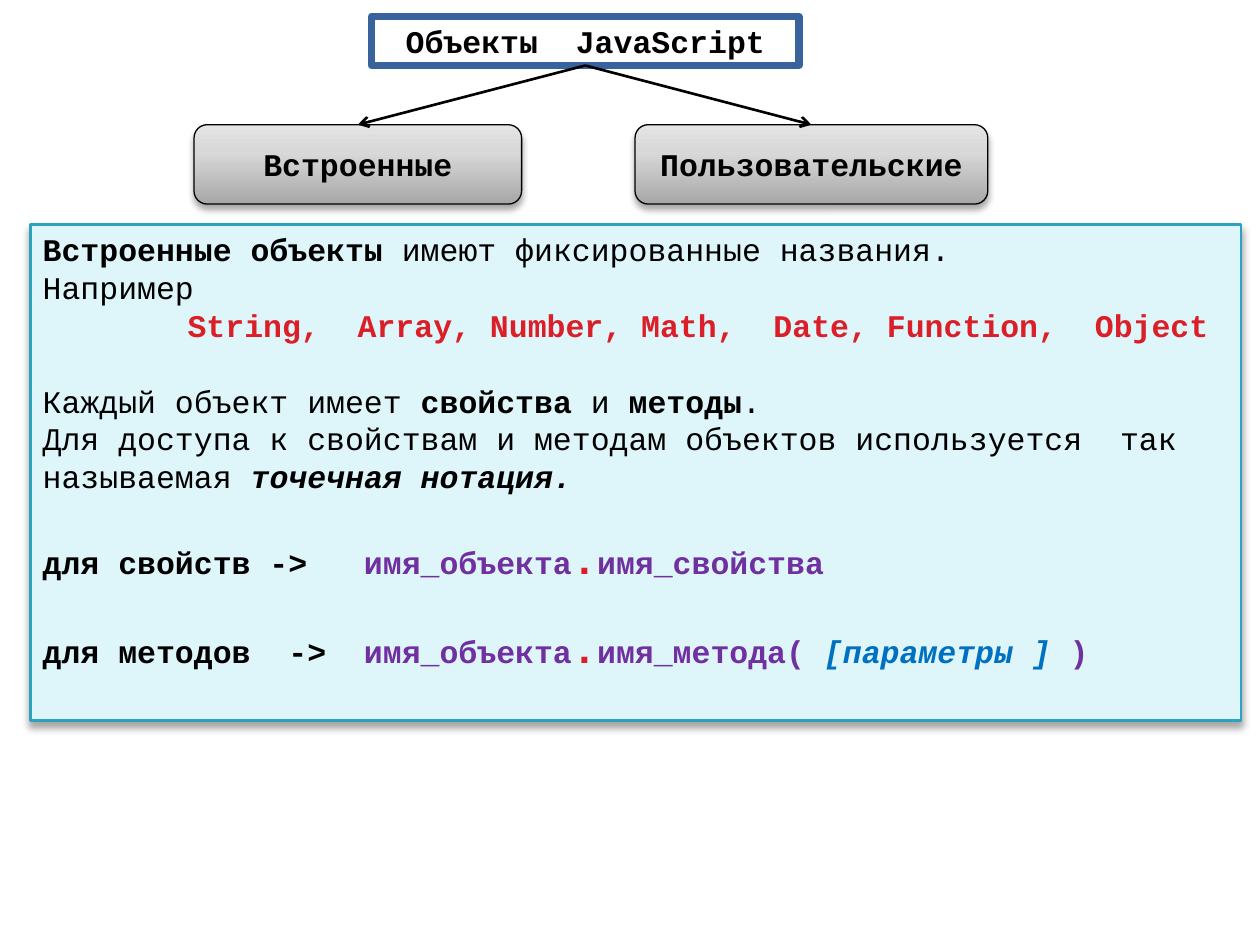
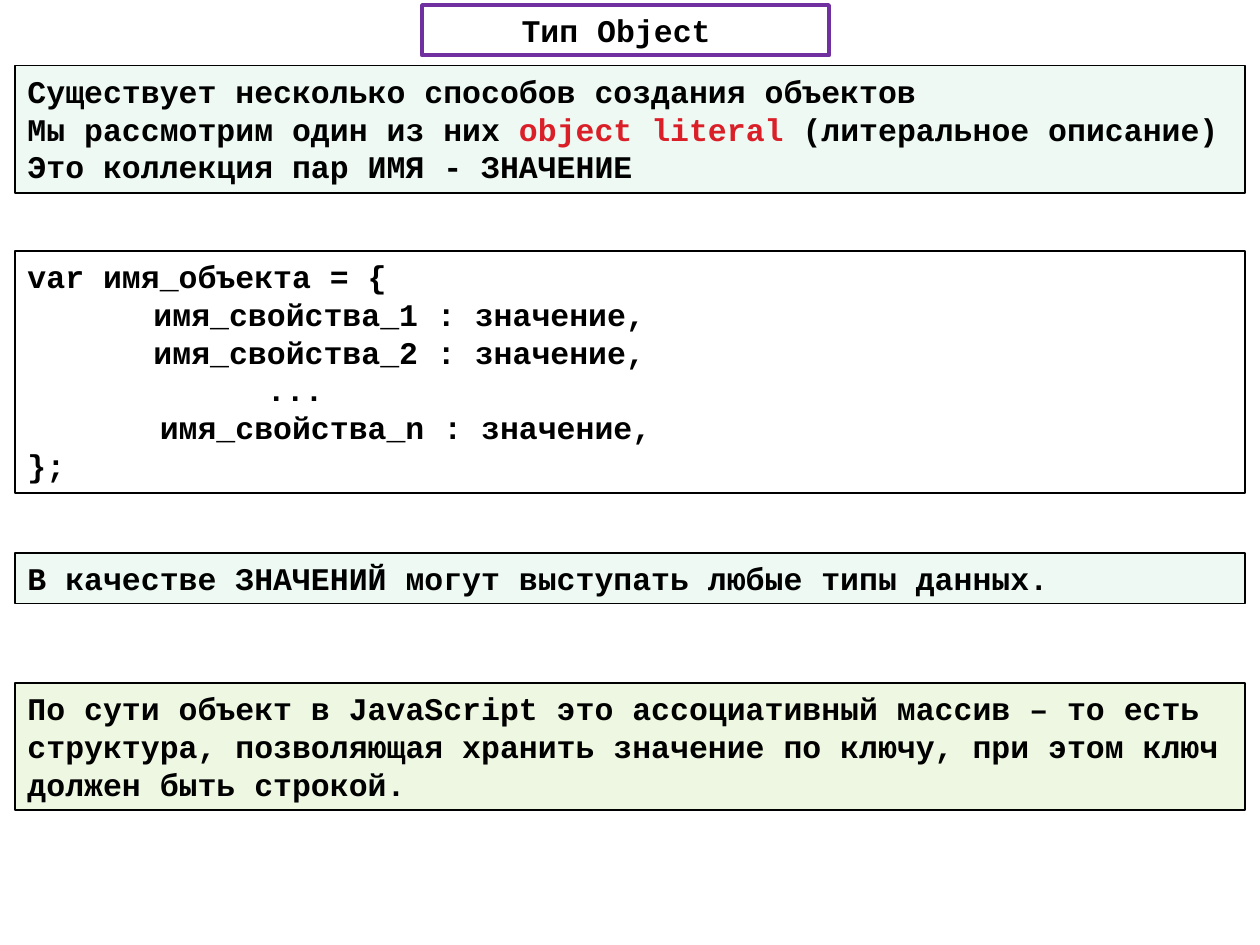
import dataclasses

import lxml.etree
import pptx
import pptx.dml.color
import pptx.enum.shapes
import pptx.enum.text
import pptx.oxml.ns
import pptx.util


@dataclasses.dataclass(frozen=True)
class Theme:
    font: str = "Courier New"
    body: int = 18
    large: int = 24
    blank_line: float = 21.6
    black: str = "000000"
    white: str = "FFFFFF"
    red: str = "DA1F28"
    purple: str = "7030A0"
    blue: str = "0070C0"
    frame: str = "39639D"
    teal: str = "2DA2BF"
    pale_teal: str = "DEF5FA"
    green: str = "00B050"
    lime: str = "92D050"
    metal: tuple = ((0, "A7A7A7"), (65, "D8D8D8"), (100, "E4E4E4"))


THEME = Theme()
COLUMNS, ROWS = 100, 75
UNIT = pptx.util.Inches(0.1)

PLAIN = {"bold": False}
BOLD = {}
RED = {"color": THEME.red}
PURPLE = {"color": THEME.purple}
DOT = {"color": THEME.red, "size": THEME.large}
BOLD_ITALIC = {"italic": True}
PARAMETERS = {"color": THEME.blue, "italic": True}


def line(*spans, **layout):
    return {"spans": spans, **layout}


NOTATION = {"before": THEME.blank_line, "tab": 25.5}
OBJECTS_TITLE = [line(("Объекты  JavaScript", BOLD), centered=True)]
KINDS = [
    ("Встроенные", (15.4, 9.9, 26, 6.3)),
    ("Пользовательские", (50.4, 9.9, 28, 6.3)),
]
BUILT_IN = [
    line(("Встроенные объекты ", BOLD), ("имеют фиксированные названия.", PLAIN)),
    line(("Например", PLAIN)),
    line(("String,  Array, Number, Math,  Date, Function,  Object", RED), indent=11.5),
    line(("Каждый объект имеет ", PLAIN), ("свойства ", BOLD), ("и", PLAIN),
         (" методы", BOLD), (".", PLAIN), before=THEME.blank_line),
    line(("Для доступа к свойствам и методам объектов используется  так называемая ", PLAIN),
         ("точечная нотация.", BOLD_ITALIC)),
    line(("для свойств ->\t", BOLD), ("имя_объекта", PURPLE), (".", DOT),
         ("имя_свойства", PURPLE), **NOTATION),
    line(("для методов  ->\t", BOLD), ("имя_объекта", PURPLE), (".", DOT),
         ("имя_метода( ", PURPLE), ("[параметры ] ", PARAMETERS), (")", PURPLE), **NOTATION),
]

TYPE_TITLE = [line(("Тип Object ", BOLD), centered=True)]
PANEL_LEFT, PANEL_WIDTH = 1.2, 97.6
PANELS = [
    (5.2, 10.1, THEME.green, 7, [
        line(("Существует несколько способов создания объектов", BOLD)),
        line(("Мы рассмотрим один из них ", BOLD), ("object literal ", RED),
             ("(литеральное описание)", BOLD)),
        line(("Это коллекция пар ИМЯ - ЗНАЧЕНИЕ", BOLD)),
    ]),
    (19.9, 19.2, THEME.white, 7, [
        line(("var имя_объекта = {", BOLD)),
        line(("имя_свойства_1 : значение,", BOLD), indent=10),
        line(("имя_свойства_2 : значение,", BOLD), indent=10),
        line(("...", BOLD), indent=19),
        line(("имя_свойства_n : значение,", BOLD), indent=10.5),
        line(("};", BOLD)),
    ]),
    (43.9, 4, THEME.green, 7, [
        line(("В качестве ЗНАЧЕНИЙ могут выступать любые типы данных.", BOLD)),
    ]),
    (54.2, 10.1, THEME.lime, 16, [
        line(("По сути объект в JavaScript это ассоциативный массив – то есть "
              "структура, позволяющая хранить значение по ключу, при этом ключ "
              "должен быть строкой.", BOLD)),
    ]),
]


def grid(value):
    return round(value * UNIT)


def rgb(color):
    return pptx.dml.color.RGBColor.from_string(color)


def add_node(parent, tag, **attributes):
    node = lxml.etree.SubElement(parent, pptx.oxml.ns.qn(tag))
    for name, value in attributes.items():
        node.set(name, str(value))
    return node


def find_node(shape, tag):
    return shape._element.spPr.find(".//" + pptx.oxml.ns.qn(tag))


def add_span(para, text, color=THEME.black, size=THEME.body, bold=True, italic=False):
    span = para.add_run()
    span.text = text
    span.font.name = THEME.font
    span.font.size = pptx.util.Pt(size)
    span.font.bold = bold
    span.font.italic = italic
    span.font.color.rgb = rgb(color)


def write(frame, lines):
    alignment = pptx.enum.text.PP_ALIGN
    for index, entry in enumerate(lines):
        para = frame.add_paragraph() if index else frame.paragraphs[0]
        para.alignment = alignment.CENTER if entry.get("centered") else alignment.LEFT
        para.space_before = pptx.util.Pt(entry.get("before", 0))
        properties = para._p.get_or_add_pPr()
        properties.set("marL", str(grid(entry.get("indent", 0))))
        if "tab" in entry:
            stops = add_node(properties, "a:tabLst")
            add_node(stops, "a:tab", pos=grid(entry["tab"]), algn="l")
        for text, style in entry["spans"]:
            add_span(para, text, **style)


def fill_box(box, fill, opacity):
    if fill is None:
        box.fill.background()
    elif isinstance(fill, tuple):
        box.fill.gradient()
        box.fill.gradient_angle = 90
        stops = find_node(box, "a:gsLst")
        for stop in list(stops):
            stops.remove(stop)
        for position, color in fill:
            stop = add_node(stops, "a:gs", pos=position * 1000)
            add_node(stop, "a:srgbClr", val=color)
    else:
        box.fill.solid()
        box.fill.fore_color.rgb = rgb(fill)
        if opacity < 100:
            add_node(find_node(box, "a:srgbClr"), "a:alpha", val=opacity * 1000)


def add_box(page, place, lines, fill=None, opacity=100, outline=THEME.black, weight=1,
            rounded=False, middle=False, shadow=False, grow=False):
    shapes = pptx.enum.shapes.MSO_SHAPE
    kind = shapes.ROUNDED_RECTANGLE if rounded else shapes.RECTANGLE
    box = page.shapes.add_shape(kind, *map(grid, place))
    fill_box(box, fill, opacity)
    box.line.color.rgb = rgb(outline)
    box.line.width = pptx.util.Pt(weight)
    box.shadow.inherit = False
    if shadow:
        cast = add_node(find_node(box, "a:effectLst"), "a:outerShdw",
                        blurRad=pptx.util.Pt(4), dist=pptx.util.Pt(3),
                        dir=90 * 60000, rotWithShape=0)
        add_node(add_node(cast, "a:srgbClr", val=THEME.black), "a:alpha", val=35000)
    frame = box.text_frame
    frame.word_wrap = True
    anchors = pptx.enum.text.MSO_ANCHOR
    frame.vertical_anchor = anchors.MIDDLE if middle else anchors.TOP
    if grow:
        frame.auto_size = pptx.enum.text.MSO_AUTO_SIZE.SHAPE_TO_FIT_TEXT
    write(frame, lines)
    return box


def add_arrow(page, parent, child):
    arrow = page.shapes.add_connector(pptx.enum.shapes.MSO_CONNECTOR.STRAIGHT, 0, 0, 0, 0)
    arrow.begin_connect(parent, 2)
    arrow.end_connect(child, 0)
    arrow.line.color.rgb = rgb(THEME.black)
    arrow.line.width = pptx.util.Pt(1.5)
    add_node(find_node(arrow, "a:ln"), "a:tailEnd", type="arrow")
    add_node(arrow._element.spPr, "a:effectLst")


def build_objects(page):
    title = add_box(page, (29.5, 1.3, 33.9, 3.9), OBJECTS_TITLE, fill=THEME.white,
                    outline=THEME.frame, weight=4.33, middle=True)
    kinds = [
        add_box(page, place, [line((name, BOLD), centered=True)], fill=THEME.metal,
                weight=0.75, rounded=True, middle=True, shadow=True)
        for name, place in KINDS
    ]
    for kind in kinds:
        add_arrow(page, title, kind)
    add_box(page, (2.4, 17.8, 96.1, 39.4), BUILT_IN, fill=THEME.pale_teal,
            outline=THEME.teal, weight=1.5, shadow=True)


def build_object_type(page):
    add_box(page, (33.5, 0.4, 32.3, 4), TYPE_TITLE, outline=THEME.purple,
            weight=2.25, grow=True)
    for top, height, fill, opacity, lines in PANELS:
        add_box(page, (PANEL_LEFT, top, PANEL_WIDTH, height), lines, fill=fill,
                opacity=opacity, grow=True)


def main():
    deck = pptx.Presentation()
    deck.slide_width = grid(COLUMNS)
    deck.slide_height = grid(ROWS)
    for build in (build_objects, build_object_type):
        build(deck.slides.add_slide(deck.slide_layouts[6]))
    deck.save("out.pptx")


if __name__ == "__main__":
    main()
